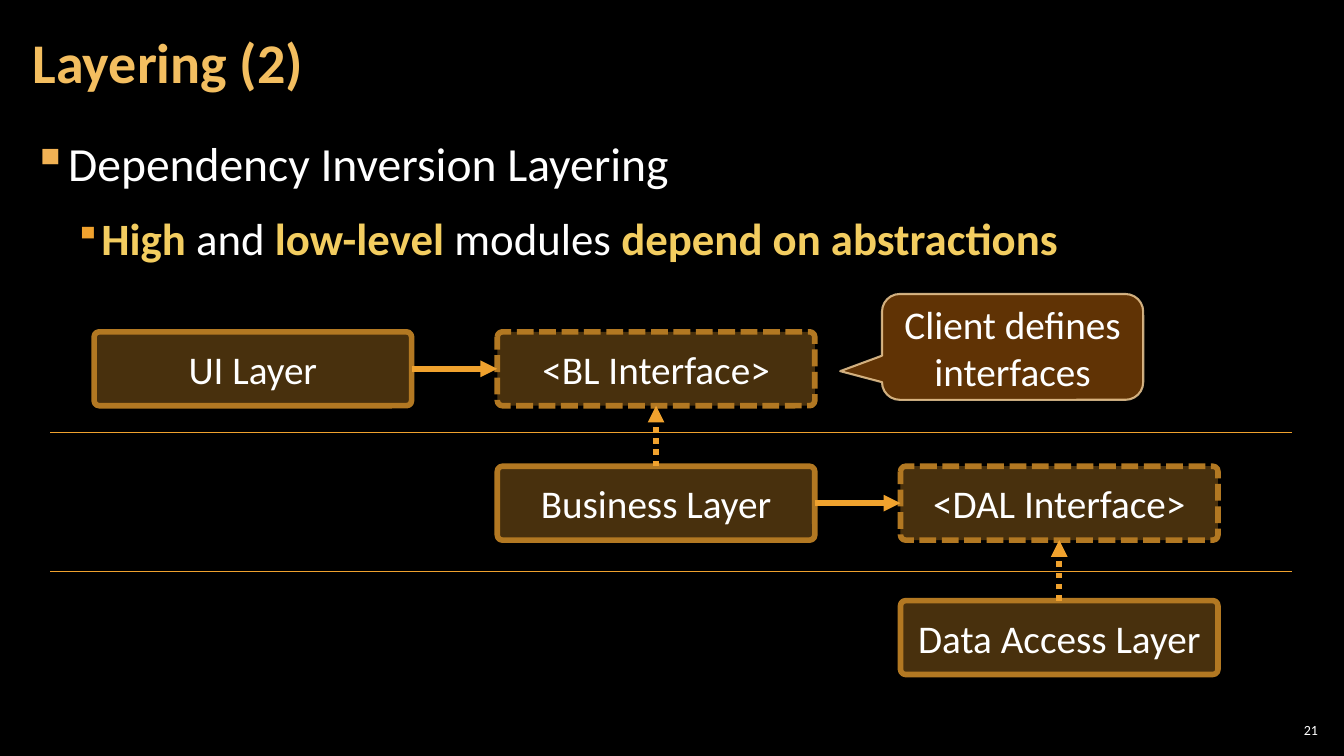
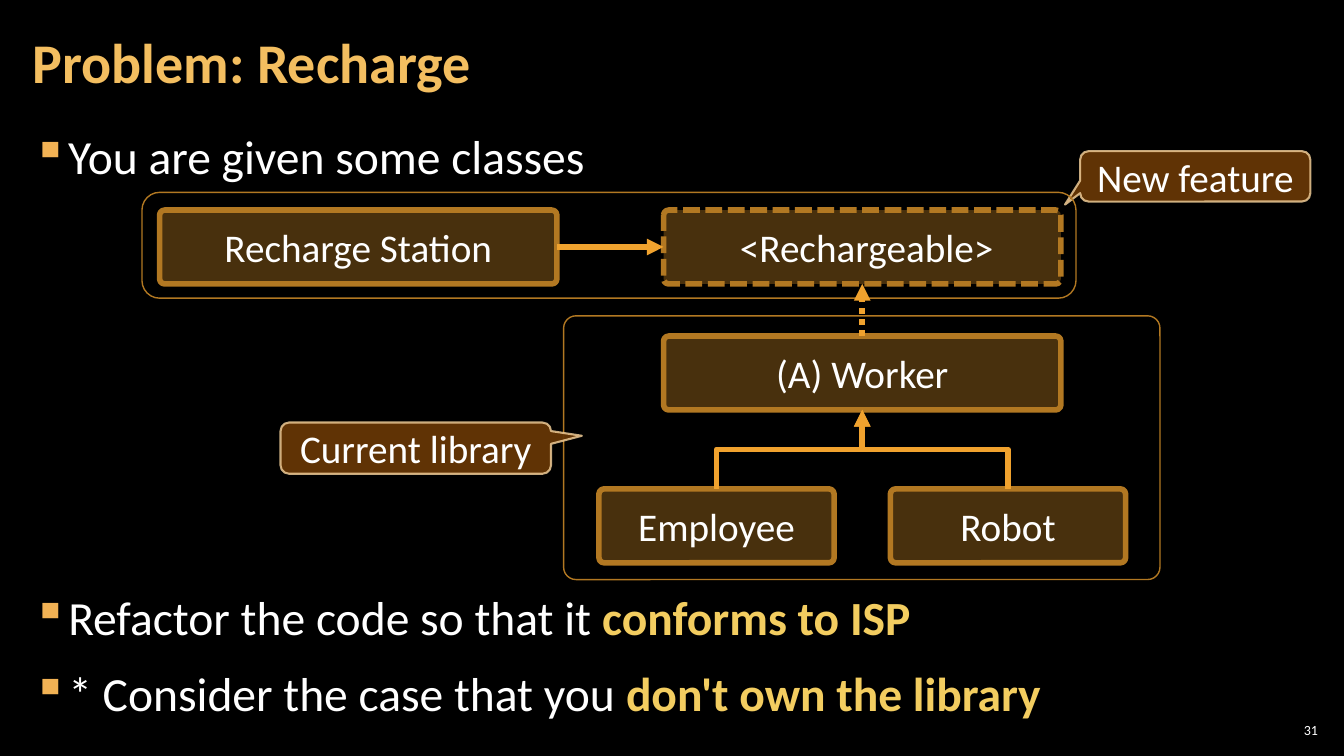
from dataclasses import dataclass

from pptx import Presentation
from pptx.dml.color import RGBColor
from pptx.enum.dml import MSO_LINE
from pptx.enum.shapes import MSO_CONNECTOR, MSO_SHAPE
from pptx.enum.text import MSO_ANCHOR, PP_ALIGN
from pptx.oxml.ns import qn
from pptx.util import Inches, Pt
from lxml.etree import SubElement

COLUMNS, ROWS = 160, 90
UNIT = Inches(1 / 12)
FONT = "Calibri"
BLACK, WHITE = "000000", "FFFFFF"
ORANGE, BRONZE, BROWN, SAND = "F0A22E", "B27822", "663606", "F8D49E"
TITLE_GOLD, STRONG_GOLD, BULLET_GOLD = "F3BE60", "F3CD60", "F2B254"
NODE_HEIGHT = 8.8
TOP, LEFT, BOTTOM, RIGHT = range(4)


@dataclass
class Level:
    size: int
    margin: float
    hanging: float
    bullet_color: str
    bullet_percent: int


LEVELS = [Level(34, 4, 4, BULLET_GOLD, 100), Level(32, 8, 3, ORANGE, 80)]


@dataclass
class Box:
    left: float
    top: float
    width: float
    height: float

    def area(self, left, top, width, height):
        return Box(self.left + left, self.top + top, width, height)

    def lengths(self):
        return [grid(size) for size in (self.left, self.top, self.width, self.height)]


PAGE = Box(0, 0, COLUMNS, ROWS)


def grid(size):
    return round(size * UNIT)


def paint(fill, color, alpha=100):
    fill.solid()
    fill.fore_color.rgb = RGBColor.from_string(color)
    if alpha < 100:
        tone = fill._xPr.find(qn("a:solidFill")).find(qn("a:srgbClr"))
        SubElement(tone, qn("a:alpha")).set("val", str(alpha * 1000))


def stroke(line, color, width, dash=None, alpha=100):
    paint(line.fill, color, alpha)
    line.width = Pt(width)
    if dash:
        line.dash_style = dash


def add_span(para, text, size, color=WHITE, bold=False):
    span = para.add_run()
    span.text = text
    span.font.name = FONT
    span.font.size = Pt(size)
    span.font.bold = bold
    paint(span.font.fill, color)


def add_text_box(page, box, anchor, side_inset):
    frame = page.shapes.add_textbox(*box.lengths()).text_frame
    frame.word_wrap = True
    frame.vertical_anchor = anchor
    frame.margin_left = frame.margin_right = grid(side_inset)
    frame.margin_top = frame.margin_bottom = grid(0.5)
    return frame


def add_bullet(para, level):
    props = para._p.get_or_add_pPr()
    props.set("marL", str(grid(level.margin)))
    props.set("indent", str(-grid(level.hanging)))
    tone = SubElement(props, qn("a:buClr"))
    SubElement(tone, qn("a:srgbClr")).set("val", level.bullet_color)
    SubElement(props, qn("a:buSzPct")).set("val", str(level.bullet_percent * 1000))
    SubElement(props, qn("a:buChar")).set("char", "▪")


def add_bullets(page, box, items):
    """Each item is a level followed by spans that alternate plain and strong."""
    frame = add_text_box(page, box, MSO_ANCHOR.TOP, 1.4)
    for index, (depth, *spans) in enumerate(items):
        para = frame.add_paragraph() if index else frame.paragraphs[0]
        para.line_spacing = 1.05
        para.space_before = para.space_after = Pt(6)
        add_bullet(para, LEVELS[depth])
        for position, text in enumerate(spans):
            strong = position % 2 == 1
            if text:
                add_span(para, text, LEVELS[depth].size,
                         STRONG_GOLD if strong else WHITE, strong)


def add_page(deck, title, number):
    page = deck.slides.add_slide(deck.slide_layouts[6])
    paint(page.background.fill, BLACK)
    heading = add_text_box(page, PAGE.area(2.5, 0.5, 125.6, 14.5), MSO_ANCHOR.MIDDLE, 1.4)
    heading.paragraphs[0].line_spacing = 0.9
    add_span(heading.paragraphs[0], title, 40, TITLE_GOLD, True)
    footer = add_text_box(page, PAGE.area(151.8, 85.7, 5.6, 2.5), MSO_ANCHOR.MIDDLE, 0.5)
    footer.paragraphs[0].alignment = PP_ALIGN.RIGHT
    add_span(footer.paragraphs[0], str(number), 10)
    return page


def add_shape(page, kind, box, adjustments=(), label=None):
    shape = page.shapes.add_shape(kind, *box.lengths())
    shape.shadow.inherit = False
    for index, value in enumerate(adjustments):
        shape.adjustments[index] = value
    if label:
        frame = shape.text_frame
        frame.word_wrap = True
        frame.vertical_anchor = MSO_ANCHOR.MIDDLE
        frame.paragraphs[0].alignment = PP_ALIGN.CENTER
        add_span(frame.paragraphs[0], label, 28)
    return shape


def add_node(page, box, label, dash=None):
    node = add_shape(page, MSO_SHAPE.ROUNDED_RECTANGLE, box, [0.07], label)
    paint(node.fill, ORANGE, 30)
    stroke(node.line, BRONZE, 4, dash)
    return node


def add_interface(page, box, label):
    return add_node(page, box, label, MSO_LINE.SQUARE_DOT)


def add_callout(page, box, label, tip):
    callout = add_shape(page, MSO_SHAPE.ROUNDED_RECTANGULAR_CALLOUT, box, [*tip, 0.167], label)
    paint(callout.fill, BROWN, 95)
    stroke(callout.line, SAND, 1.5, alpha=80)


def add_outline(page, box, rounding):
    outline = add_shape(page, MSO_SHAPE.ROUNDED_RECTANGLE, box, [rounding])
    outline.fill.background()
    stroke(outline.line, BRONZE, 1)


def add_line(page, kind, ends, width, dash=None, arrow=False):
    line = page.shapes.add_connector(kind, *[round(end) for end in ends])
    stroke(line.line, ORANGE, width, dash)
    if arrow:
        SubElement(line.line._get_or_add_ln(), qn("a:tailEnd")).set("type", "triangle")
    SubElement(line.element.spPr, qn("a:effectLst"))
    return line


def add_arrow(page, source, source_side, target, target_side, dash=None):
    arrow = add_line(page, MSO_CONNECTOR.STRAIGHT, [0, 0, 0, 0], 4, dash, True)
    arrow.begin_connect(source, source_side)
    arrow.end_connect(target, target_side)


def add_uses(page, source, target):
    add_arrow(page, source, RIGHT, target, LEFT)


def add_implements(page, source, target):
    add_arrow(page, source, TOP, target, BOTTOM, MSO_LINE.ROUND_DOT)


def add_inherits(page, child, parent):
    start_x, start_y = child.left + child.width / 2, child.top
    end_x, end_y = parent.left + parent.width / 2, parent.top + parent.height
    middle_x, middle_y = (start_x + end_x) / 2, (start_y + end_y) / 2
    turn = 1 if start_x < end_x else -1
    rise, run = turn * (start_y - end_y) / 2, abs(end_x - start_x) / 2
    ends = [middle_x + rise, middle_y + run, middle_x - rise, middle_y - run]
    elbow = add_line(page, MSO_CONNECTOR.ELBOW, ends, 4, arrow=True)
    elbow.element.spPr.xfrm.set("rot", str(turn * 90 % 360 * 60000))


def add_layers(page, box):
    def cell(column, row):
        return box.area(column * 48, row * 16, 37.8, NODE_HEIGHT)

    client = add_node(page, cell(0, 0), "UI Layer")
    data = add_node(page, cell(2, 2), "Data Access Layer")
    business = add_node(page, cell(1, 1), "Business Layer")
    business_interface = add_interface(page, cell(1, 0), "<BL Interface>")
    data_interface = add_interface(page, cell(2, 1), "<DAL Interface>")
    add_uses(page, client, business_interface)
    add_uses(page, business, data_interface)
    add_implements(page, business, business_interface)
    add_implements(page, data, data_interface)
    for row in (12, 28.5):
        divider = box.area(-5.2, row, 147.8, 0)
        left, top, width, height = divider.lengths()
        add_line(page, MSO_CONNECTOR.STRAIGHT, [left, top, left + width, top + height], 0.5)
    add_callout(page, box.area(93.8, -4.5, 31.1, 12.6), "Client defines interfaces",
                (-0.66, 0.229))


def add_feature(page, box):
    station = add_node(page, box.area(2.1, 2.1, 47.3, NODE_HEIGHT), "Recharge Station")
    rechargeable = add_interface(page, box.area(62.1, 2.1, 47.3, NODE_HEIGHT), " <Rechargeable>")
    add_uses(page, station, rechargeable)
    add_callout(page, box.area(111.7, -4.9, 27.4, 6), "New feature", (-0.566, 0.56))
    add_outline(page, box, 0.167)
    return rechargeable


def add_library(page, box):
    worker = add_node(page, box.area(11.9, 2.4, 47.3, NODE_HEIGHT), "(A) Worker")
    for index, label in enumerate(["Employee", "Robot"]):
        child = add_node(page, box.area(4.2 + index * 34.7, 20.6, 28, NODE_HEIGHT), label)
        add_inherits(page, child, worker)
    add_outline(page, box, 0.047)
    add_callout(page, box.area(-33.7, 12.7, 32.2, 6.1), "Current library", (0.614, -0.241))
    return worker


def build_layering(deck):
    page = add_page(deck, "Layering (2)", 21)
    add_bullets(page, PAGE.area(2.5, 15.1, 155, 20), [
        (0, "Dependency Inversion Layering"),
        (1, "", "High", " and ", "low-level", " modules ", "depend on abstractions"),
    ])
    add_layers(page, PAGE.area(11.2, 39.5, 133.8, 40.8))


def build_recharge(deck):
    page = add_page(deck, "Problem: Recharge", 31)
    add_bullets(page, PAGE.area(2.5, 14.3, 120, 9), [(0, "You are given some classes")])
    add_bullets(page, PAGE.area(2.5, 69.1, 148, 18.5), [
        (0, "Refactor the code so that it ", "conforms to ISP"),
        (0, "* Consider the case that you ", "don't own the library"),
    ])
    rechargeable = add_feature(page, PAGE.area(16.9, 22.9, 111.2, 12.6))
    worker = add_library(page, PAGE.area(67.1, 37.6, 71, 31.4))
    add_implements(page, worker, rechargeable)


def main():
    deck = Presentation()
    deck.slide_width, deck.slide_height = grid(COLUMNS), grid(ROWS)
    build_layering(deck)
    build_recharge(deck)
    deck.save("out.pptx")


if __name__ == "__main__":
    main()
